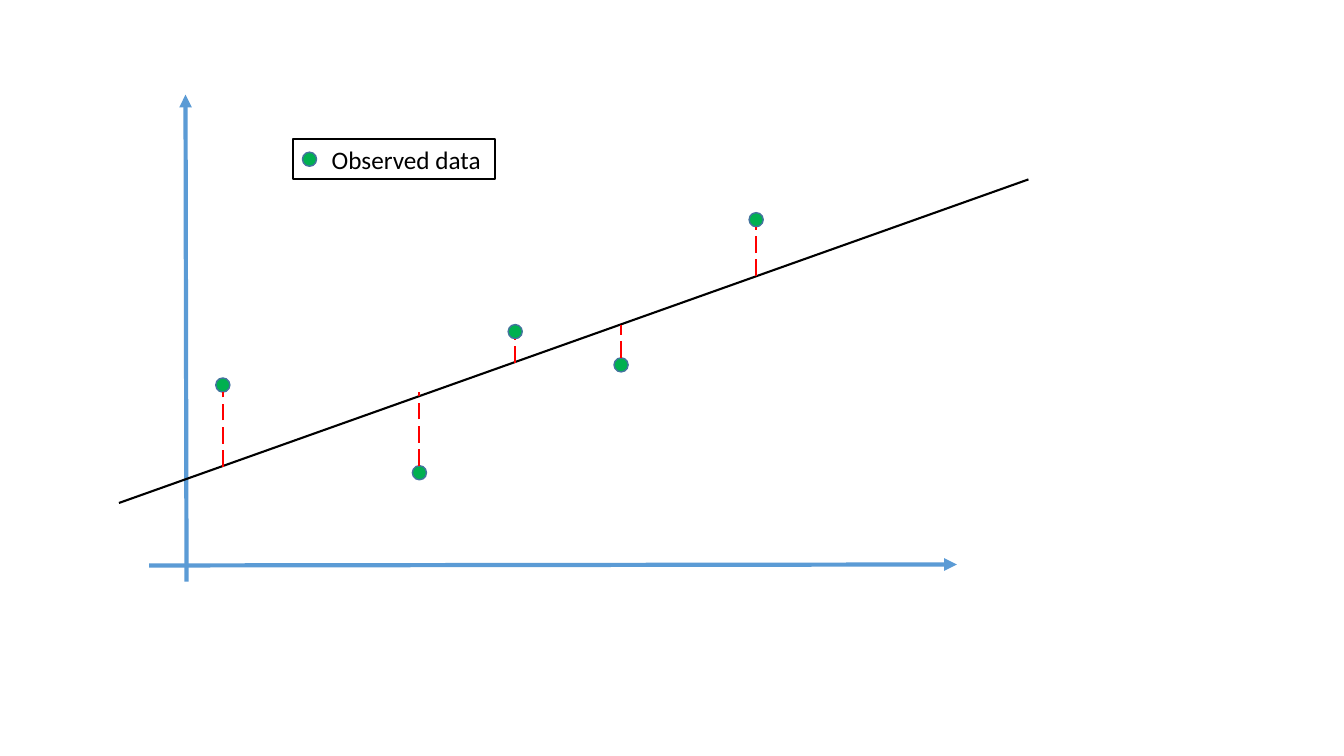
import pptx
import pptx.dml.color
import pptx.enum.dml
import pptx.enum.shapes
import pptx.enum.text
import pptx.oxml
import pptx.oxml.ns
import pptx.util
from pptx.util import Inches

DOT_SIZE = 0.14


def color(hex_value):
    return pptx.dml.color.RGBColor.from_string(hex_value)


def add_line(start, end, hex_value, width):
    line = slide.shapes.add_connector(
        pptx.enum.shapes.MSO_CONNECTOR.STRAIGHT, *map(Inches, start + end))
    line.line.color.rgb = color(hex_value)
    line.line.width = pptx.util.Pt(width)
    line._element.spPr.append(pptx.oxml.parse_xml(
        f'<a:effectLst {pptx.oxml.ns.nsdecls("a")}/>'))
    return line


prs = pptx.Presentation()
prs.slide_width = Inches(13.33)
prs.slide_height = Inches(7.5)
slide = prs.slides.add_slide(prs.slide_layouts[6])

# Axes
for start, end in [((1.85, 5.77), (1.84, 0.94)), ((1.48, 5.61), (9.49, 5.6))]:
    axis = add_line(start, end, "5B9BD5", 3)
    axis.line._get_or_add_ln().append(pptx.oxml.parse_xml(
        f'<a:tailEnd {pptx.oxml.ns.nsdecls("a")} type="triangle"/>'))

# Regression line
add_line((10.2, 1.78), (1.18, 4.99), "000000", 1.5)

# Legend box
legend = slide.shapes.add_shape(
    pptx.enum.shapes.MSO_SHAPE.RECTANGLE,
    Inches(2.91), Inches(1.38), Inches(2), Inches(0.4))
legend.shadow.inherit = False
legend.fill.background()
legend.line.color.rgb = color("000000")
legend.line.width = pptx.util.Pt(1.5)
legend.text_frame.margin_left = Inches(0.38)
legend.text_frame.word_wrap = False
legend.text_frame.vertical_anchor = pptx.enum.text.MSO_ANCHOR.MIDDLE
label = legend.text_frame.paragraphs[0]
label.text = "Observed data"
label.alignment = pptx.enum.text.PP_ALIGN.LEFT
label.font.name = "Calibri"
label.font.size = pptx.util.Pt(18)
label.font.color.rgb = color("000000")

# Observations: left and top of the dot, and the height of the fitted value
observations = [
    (5.04, 3.22, 3.6),
    (6.09, 3.55, 3.22),
    (2.14, 3.75, 4.63),
    (4.09, 4.62, 3.89),
    (7.43, 2.11, 2.74),
]
legend_dot = (3, 1.51)

for left, top in [point[:2] for point in observations] + [legend_dot]:
    dot = slide.shapes.add_shape(
        pptx.enum.shapes.MSO_SHAPE.OVAL,
        Inches(left), Inches(top), Inches(DOT_SIZE), Inches(DOT_SIZE))
    dot.shadow.inherit = False
    dot.fill.solid()
    dot.fill.fore_color.rgb = color("00B050")
    dot.line.color.rgb = color("43739E")
    dot.line.width = pptx.util.Pt(1)

# Residuals run upwards between the dot's near edge and the fitted value
for left, top, fitted in observations:
    center = left + DOT_SIZE / 2
    edge = top + DOT_SIZE if fitted > top else top
    residual = add_line((center, max(edge, fitted)), (center, min(edge, fitted)),
                        "FF0000", 1.5)
    residual.line.dash_style = pptx.enum.dml.MSO_LINE.LONG_DASH

prs.save("out.pptx")
